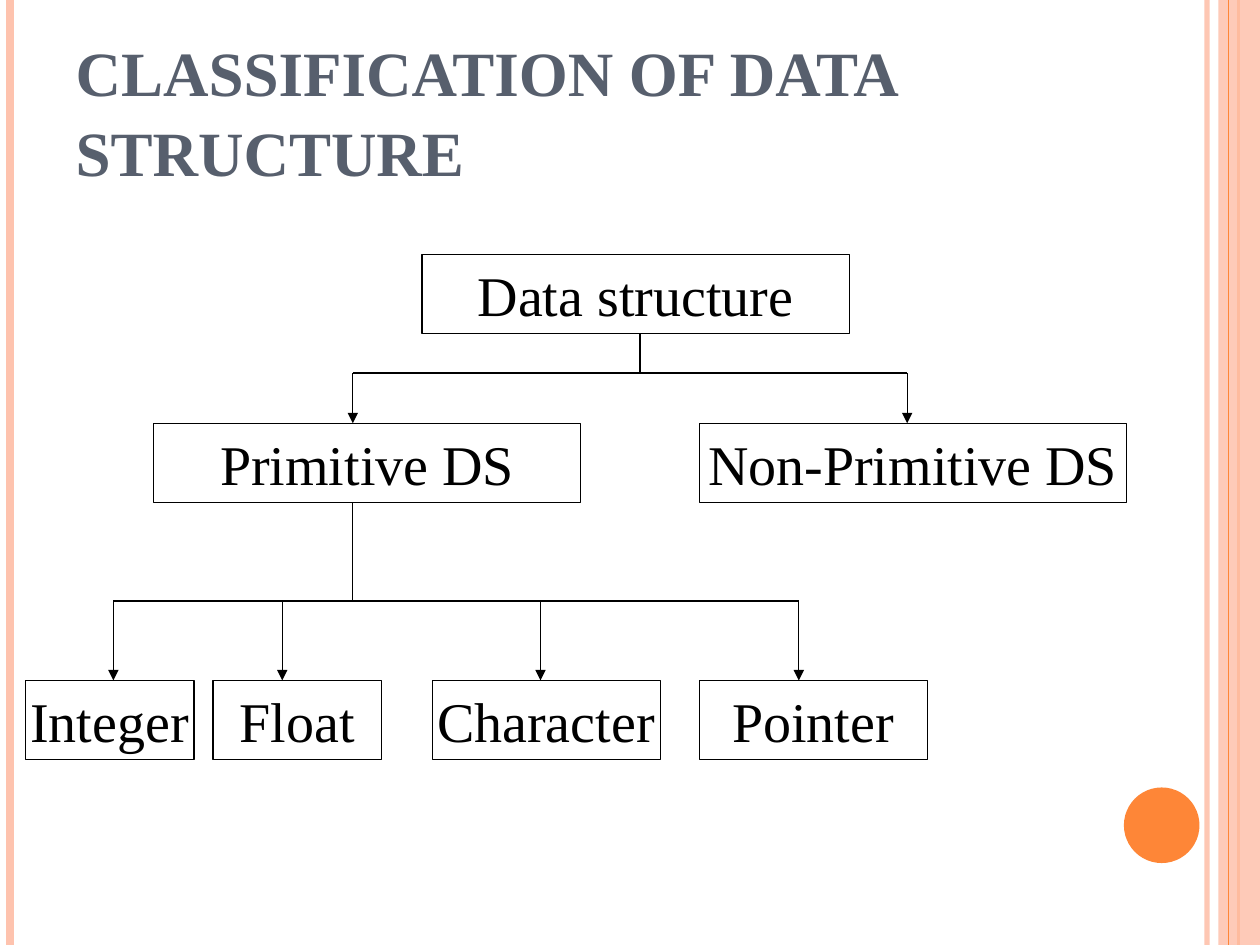
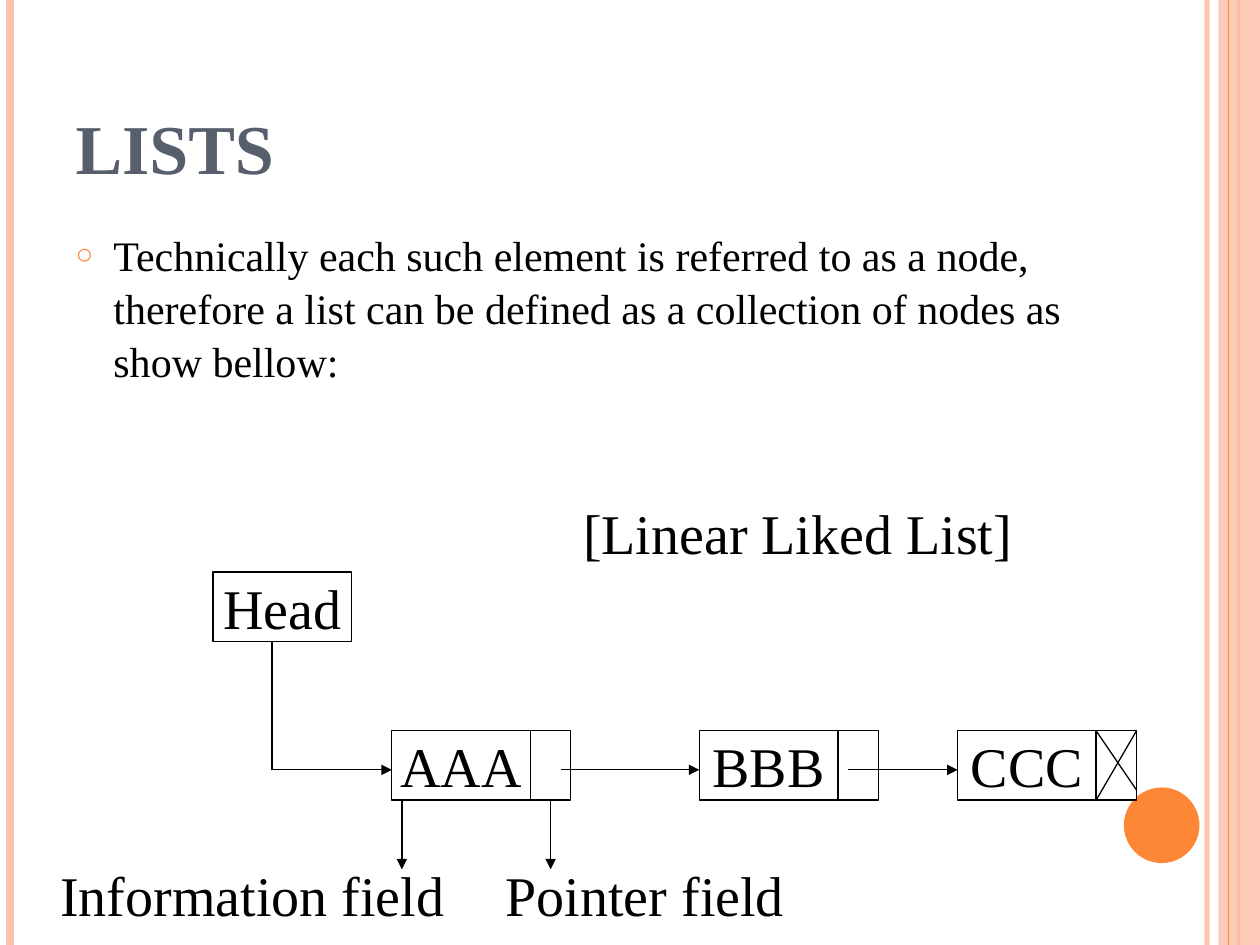
from dataclasses import dataclass

from lxml import etree
from pptx import Presentation
from pptx.dml.color import RGBColor
from pptx.enum import shapes as kinds, text as txt
from pptx.oxml import ns
from pptx.util import Inches, Pt

FONT = "Times New Roman"
BLACK = RGBColor(0x00, 0x00, 0x00)
WHITE = RGBColor(0xFF, 0xFF, 0xFF)
SLATE = RGBColor(0x57, 0x5F, 0x6D)
ORANGE = RGBColor(0xFE, 0x86, 0x37)
PEACH = RGBColor(0xFE, 0xC3, 0xAE)
HAIRLINE = 0.74
SLIDE_W, SLIDE_H = 10, 7.5
CENTER, LEFT = txt.PP_ALIGN.CENTER, txt.PP_ALIGN.LEFT
MIDDLE, TOP, BOTTOM = txt.MSO_ANCHOR.MIDDLE, txt.MSO_ANCHOR.TOP, txt.MSO_ANCHOR.BOTTOM
RECTANGLE, OVAL = kinds.MSO_SHAPE.RECTANGLE, kinds.MSO_SHAPE.OVAL


@dataclass(frozen=True)
class Box:
    """A rectangle in inches with an optional label."""
    left: float
    top: float
    width: float
    height: float
    label: str = ""

    @property
    def right(self) -> float:
        return self.left + self.width

    @property
    def bottom(self) -> float:
        return self.top + self.height

    def lengths(self):
        return [Inches(v) for v in (self.left, self.top, self.width, self.height)]


@dataclass(frozen=True)
class Stripe:
    """A vertical line over the full slide height."""
    x: float
    color: RGBColor
    width: float
    opacity: int = 100


TITLE_AREA = Box(0.5, 0.3, 8.17, 1.25)
BODY_AREA = Box(0.5, 1.75, 8.17, 5.33)


# --- Drawing helpers ---
def add_xml(parent, tag: str, **attributes):
    child = etree.SubElement(parent, ns.qn(tag))
    for name, value in attributes.items():
        child.set(name, str(value))
    return child


def set_opacity(element, percent: int) -> None:
    if percent < 100:
        color = next(element.iter(ns.qn("a:srgbClr")))
        add_xml(color, "a:alpha", val=percent * 1000)


def write(frame, words: str, *, size=32, color=BLACK, bold=False, align=CENTER,
          anchor=MIDDLE, wrap=False, before=0, spacing=1.0):
    """Fill a text frame with one formatted paragraph and return it."""
    frame.auto_size = txt.MSO_AUTO_SIZE.NONE
    frame.word_wrap = wrap
    frame.vertical_anchor = anchor
    paragraph = frame.paragraphs[0]
    paragraph.alignment = align
    paragraph.space_before = Pt(before)
    paragraph.line_spacing = spacing
    run = paragraph.add_run()
    run.text = words
    run.font.name, run.font.size, run.font.bold = FONT, Pt(size), bold
    run.font.color.rgb = color
    return paragraph


def draw_box(slide, box: Box, *, kind=RECTANGLE, fill=WHITE, outline=BLACK, opacity=100):
    shape = slide.shapes.add_shape(kind, *box.lengths())
    shape.shadow.inherit = False
    shape.fill.solid()
    shape.fill.fore_color.rgb = fill
    set_opacity(shape.element.spPr, opacity)
    if outline is None:
        shape.line.fill.background()
    else:
        shape.line.color.rgb = outline
        shape.line.width = Pt(HAIRLINE)
    if box.label:
        write(shape.text_frame, box.label)
    return shape


def draw_line(slide, x1: float, y1: float, x2: float, y2: float, *,
              color=BLACK, width=HAIRLINE, opacity=100, arrow=False):
    line = slide.shapes.add_connector(
        kinds.MSO_CONNECTOR.STRAIGHT, *[Inches(v) for v in (x1, y1, x2, y2)])
    line.line.color.rgb = color
    line.line.width = Pt(width)
    properties = line.element.spPr
    outline = properties.find(ns.qn("a:ln"))
    set_opacity(outline, opacity)
    if arrow:
        add_xml(outline, "a:tailEnd", type="triangle")
    add_xml(properties, "a:effectLst")
    return line


def draw_branch(slide, stem_x: float, top: float, bar_y: float,
                bottom: float, drops: list[float]) -> None:
    """Stem down to a bar, then an arrow to each child."""
    draw_line(slide, stem_x, top, stem_x, bar_y)
    draw_line(slide, min(drops), bar_y, max(drops), bar_y)
    for x in drops:
        draw_line(slide, x, bar_y, x, bottom, arrow=True)


# --- Shared look ---
def move_decoration_to_master(deck, slide) -> None:
    """Draw the bands and the disc, then hand them to the slide master."""
    def stripe(band: Stripe):
        return draw_line(slide, band.x, 0, band.x, SLIDE_H, color=band.color,
                         width=band.width, opacity=band.opacity)

    decoration = [
        stripe(Stripe(9.58, PEACH, 3, 93)),
        stripe(Stripe(0.08, PEACH, 4.5)),
        stripe(Stripe(9.83, ORANGE, 1.5)),
        draw_box(slide, Box(9.67, 0, 0.33, SLIDE_H), fill=PEACH, outline=None, opacity=87),
        stripe(Stripe(9.75, ORANGE, HAIRLINE)),
        draw_box(slide, Box(8.92, 6.25, 0.6, 0.6), kind=OVAL, fill=ORANGE, outline=None),
    ]
    for part in decoration:
        deck.slide_master.shapes.element.append(part.element)


def place(placeholder, area: Box):
    (placeholder.left, placeholder.top,
     placeholder.width, placeholder.height) = area.lengths()
    return placeholder.text_frame


def set_title(slide, words: str, size: int) -> None:
    write(place(slide.shapes.title, TITLE_AREA), words, size=size, color=SLATE,
          bold=True, align=LEFT, anchor=BOTTOM, wrap=True, spacing=1.05)


def set_bullet(slide, words: str) -> None:
    paragraph = write(place(slide.placeholders[1], BODY_AREA), words, size=24,
                      align=LEFT, anchor=TOP, wrap=True, before=6, spacing=1.05)
    properties = paragraph._p.get_or_add_pPr()
    properties.set("marL", str(Inches(0.3)))
    properties.set("indent", str(-Inches(0.3)))
    add_xml(add_xml(properties, "a:buClr"), "a:srgbClr", val=ORANGE)
    add_xml(properties, "a:buSzPct", val=70000)
    add_xml(properties, "a:buChar", char="○")


# --- Slide 1: classification tree ---
def build_classification(slide) -> None:
    set_title(slide, "CLASSIFICATION OF DATA STRUCTURE", 36)
    wide, tall = 3.39, 0.63
    root = Box(3.35, 2.02, wide, tall, "Data structure")
    primitive = Box(1.22, 3.36, wide, tall, "Primitive DS")
    non_primitive = Box(5.55, 3.36, wide, tall, "Non-Primitive DS")
    leaves = [Box(left, 5.4, width, tall, label) for left, width, label in (
        (0.2, 1.34, "Integer"), (1.69, 1.34, "Float"),
        (3.43, 1.81, "Character"), (5.55, 1.81, "Pointer"))]
    for node in (root, primitive, non_primitive, *leaves):
        draw_box(slide, node)
    draw_branch(slide, 5.08, root.bottom, 2.96, primitive.top, [2.8, 7.2])
    draw_branch(slide, 2.8, primitive.bottom, 4.77, leaves[0].top,
                [0.9, 2.24, 4.29, 6.34])


# --- Slide 2: linked list ---
def build_lists(slide) -> None:
    set_title(slide, "LISTS", 40)
    set_bullet(slide, "Technically each such element is referred to as a node, therefore "
                      "a list can be defined as a collection of nodes as show bellow:")

    # Head and nodes, each node with an information and a pointer field
    node_w, node_h, pointer_w = 1.1, 0.55, 0.32
    head = Box(1.69, 4.54, node_w, node_h, "Head")
    nodes = [Box(left, 5.8, node_w, node_h, label)
             for left, label in ((3.11, "AAA"), (5.55, "BBB"), (7.6, "CCC"))]
    pointers = [Box(node.right, node.top, pointer_w, node_h) for node in nodes]
    for box in (head, *nodes, *pointers):
        draw_box(slide, box)

    # Crossed last pointer marks the end of the list
    end = pointers[-1]
    draw_line(slide, end.left, end.top, end.right, 6.27)
    draw_line(slide, end.right, end.top, end.left, end.bottom)

    # Links from the head through the nodes
    link_y, head_x = 6.11, 2.16
    draw_line(slide, head_x, head.bottom, head_x, link_y)
    for start, node in zip((head_x, 4.45, 6.73), nodes):
        draw_line(slide, start, link_y, node.left, link_y, arrow=True)

    # Captions under the first node
    for x, caption in ((3.19, Box(0.59, 6.9, 2.83, 0.39, "Information field")),
                       (4.37, Box(3.98, 6.9, 2.28, 0.39, "Pointer field"))):
        draw_line(slide, x, nodes[0].bottom, x, caption.top, arrow=True)
        draw_box(slide, caption, outline=WHITE)

    list_name = slide.shapes.add_textbox(*Box(4.53, 3.91, 3.94, 0.64).lengths())
    write(list_name.text_frame, "[Linear Liked List]", align=LEFT, anchor=TOP,
          wrap=True, before=3)


# --- Deck ---
deck = Presentation()
deck.slide_width, deck.slide_height = Inches(SLIDE_W), Inches(SLIDE_H)
title_and_content, title_only = deck.slide_layouts[1], deck.slide_layouts[5]

classification = deck.slides.add_slide(title_only)
move_decoration_to_master(deck, classification)
build_classification(classification)
build_lists(deck.slides.add_slide(title_and_content))

deck.save("out.pptx")
